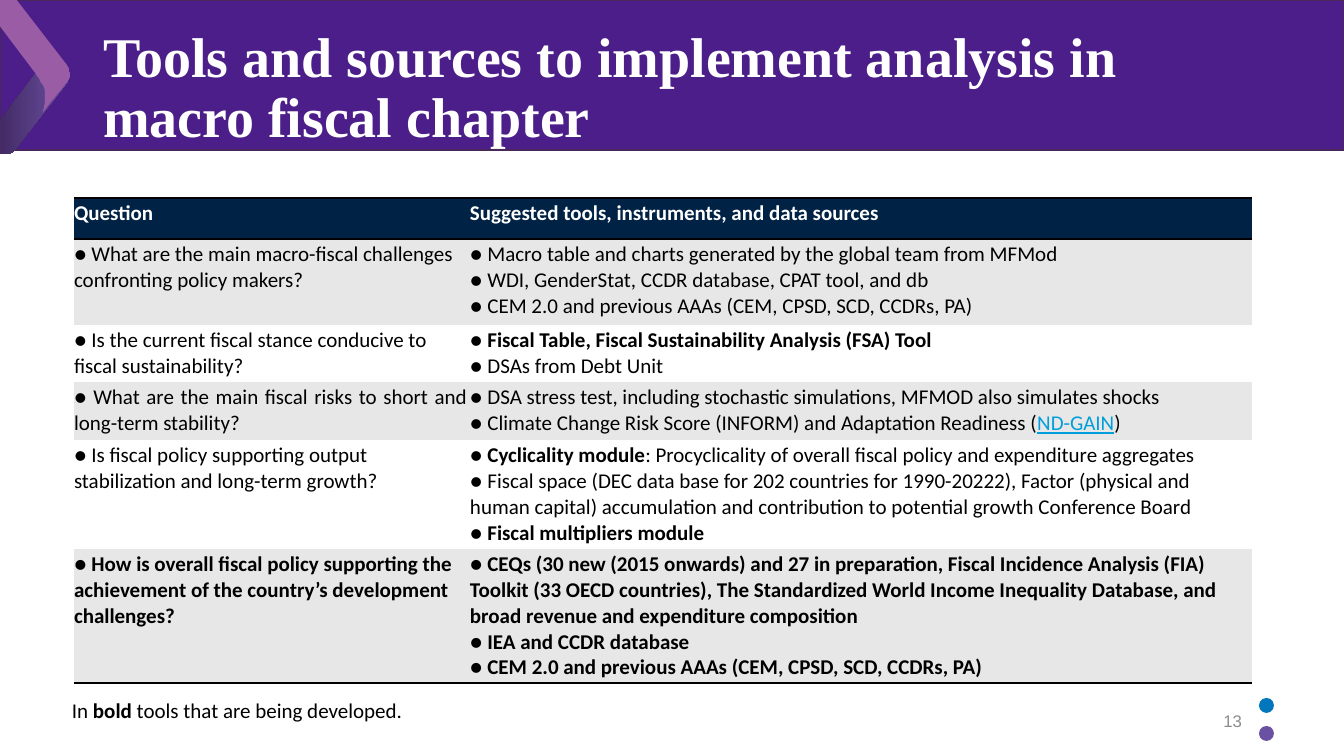
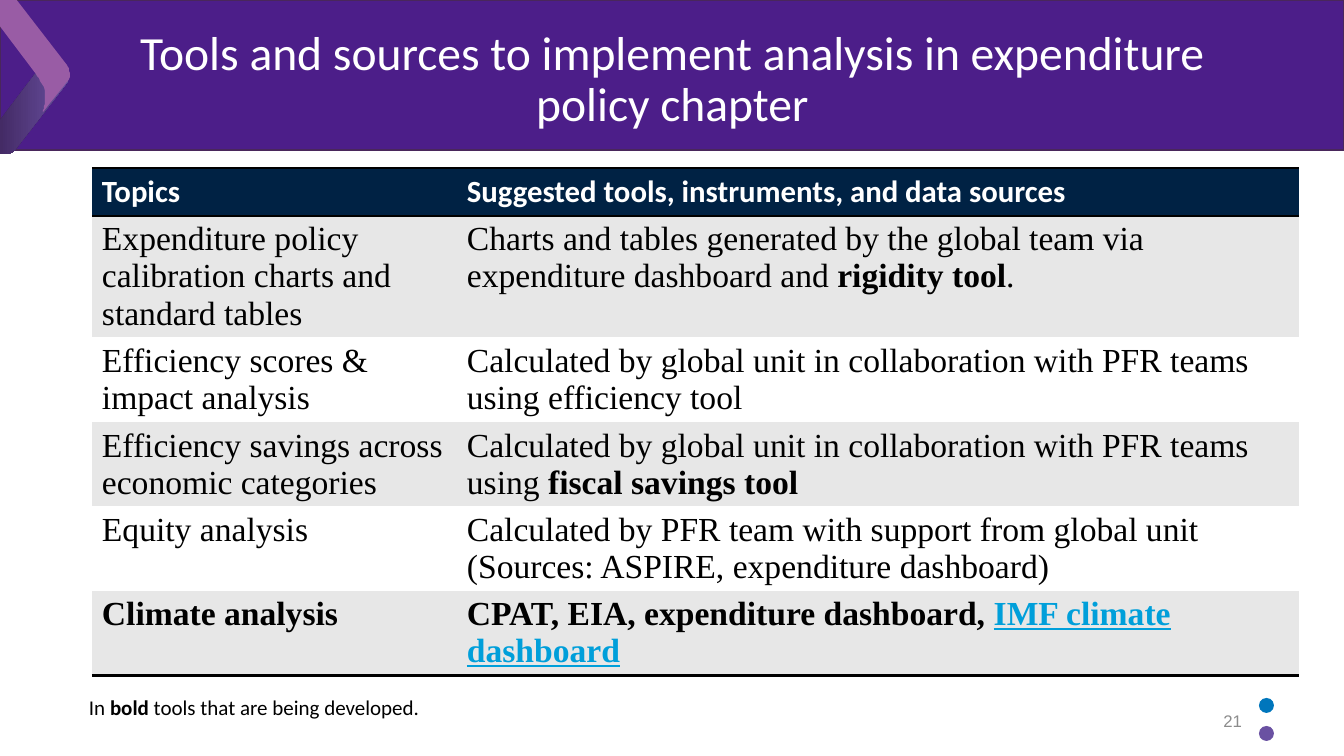
from lxml.etree import SubElement
from pptx import Presentation
from pptx.dml.color import RGBColor
from pptx.enum.shapes import MSO_SHAPE
from pptx.enum.text import MSO_ANCHOR, PP_ALIGN
from pptx.oxml.ns import qn
from pptx.util import Emu, Pt

SCALE = 12192000 / 1344
WIDTH, HEIGHT = 1344, 756
SANS, SERIF = "Calibri", "Times New Roman"
WHITE, BLACK, NAVY, GREY = "FFFFFF", "000000", "002244", "E7E7E7"
BAND, BAND_EDGE, PINK = "4C1E89", "49275B", "995CA5"
DARK_VIOLET, VIOLET, BLUE = "3D245B", "6A51A2", "0076BC"
BOLD = {"bold": True}
LINK = {"color": "009FDA", "underline": True}
PLAIN_TABLE = "{2D5ABB26-0587-4C30-8999-92F81FD0307C}"
HEADER_RIGHT = "Suggested tools, instruments, and data sources"

LOWER_ARM = [
    [(15, 150)],
    [(67, 83), (71, 78), (70, 70), (64, 66)],
    [(60, 62), (55, 58), (47, 59), (42, 65)],
    [(-9, 132), (-13, 137), (-12, 145), (-6, 150)],
    [(-3, 152), (3, 156), (11, 155), (15, 150)],
]
UPPER_ARM = [
    [(36, 74)],
    [(-7, 17), (-12, 10), (-11, 1), (-5, -4)],
    [(-5, -4), (2, -9), (11, -7), (16, -1)],
    [(67, 65), (70, 69), (71, 76), (68, 81)],
    [(68, 81), (66, 83), (43, 112), (43, 112)],
    [(43, 112), (43, 112), (46, 103), (45, 94)],
    [(45, 94), (45, 85), (36, 74), (36, 74)],
]

FISCAL_ROWS = [
    ([["What are the main macro-fiscal challenges confronting policy makers?"]],
     [["Macro table and charts generated by the global team from MFMod"],
      ["WDI, GenderStat, CCDR database, CPAT tool, and db"],
      ["CEM 2.0 and previous AAAs (CEM, CPSD, SCD, CCDRs, PA)"]]),
    ([["Is the current fiscal stance conducive to fiscal sustainability?"]],
     [[("Fiscal Table, Fiscal Sustainability Analysis (FSA) Tool", BOLD)],
      ["DSAs from Debt Unit"]]),
    ([["What are the main fiscal risks to short and long-term stability?"]],
     [["DSA stress test, including stochastic simulations, MFMOD also simulates shocks"],
      ["Climate Change Risk Score (INFORM) and Adaptation Readiness (",
       ("ND-GAIN", LINK), ")"]]),
    ([["Is fiscal policy supporting output stabilization and long-term growth?"]],
     [[("Cyclicality module", BOLD),
       ": Procyclicality of overall fiscal policy and expenditure aggregates"],
      ["Fiscal space (DEC data base for 202 countries for 1990-20222), Factor (physical "
       "and human capital) accumulation and contribution to potential growth "
       "Conference Board"],
      [("Fiscal multipliers module", BOLD)]]),
    ([["How is overall fiscal policy supporting the achievement of the country’s "
       "development challenges?"]],
     [["CEQs (30 new (2015 onwards) and 27 in preparation, Fiscal Incidence Analysis "
       "(FIA) Toolkit (33 OECD countries), The Standardized World Income Inequality "
       "Database, and broad revenue and expenditure composition"],
      ["IEA and CCDR database"],
      ["CEM 2.0 and previous AAAs (CEM, CPSD, SCD, CCDRs, PA)"]]),
]
EXPENDITURE_ROWS = [
    ([["Expenditure policy calibration charts and standard tables"]],
     [["Charts and tables generated by the global team via expenditure dashboard and ",
       ("rigidity tool", BOLD), "."]]),
    ([["Efficiency scores & impact analysis"]],
     [["Calculated by global unit in collaboration with PFR teams using efficiency tool"]]),
    ([["Efficiency savings across economic categories"]],
     [["Calculated by global unit in collaboration with PFR teams using ",
       ("fiscal savings tool", BOLD)]]),
    ([["Equity analysis"]],
     [["Calculated by PFR team with support from global unit "
       "(Sources: ASPIRE, expenditure dashboard)"]]),
    ([["Climate analysis"]],
     [["CPAT, EIA, expenditure dashboard, ", ("IMF climate dashboard", LINK)]]),
]


def px(length):
    """Turn px into EMU."""
    return Emu(round(length * SCALE))


def rgb(value):
    """Turn a hex string into a colour."""
    return RGBColor.from_string(value)


def add_span(para, text, size=15, font=SANS, color=BLACK, bold=False, underline=False):
    """Add formatted text to a paragraph."""
    span = para.add_run()
    span.text = text
    span.font.size = Pt(size)
    span.font.name = font
    span.font.color.rgb = rgb(color)
    span.font.bold = bold
    span.font.underline = underline


def write(frame, paragraphs, bullet="", spacing=None, **style):
    """Fill a text frame with paragraphs of plain or specially formatted spans."""
    for index, spans in enumerate(paragraphs):
        para = frame.add_paragraph() if index else frame.paragraphs[0]
        para.line_spacing = spacing
        if bullet:
            add_span(para, bullet, **style)
        for span in spans:
            text, special = (span, {}) if isinstance(span, str) else span
            add_span(para, text, **{**style, **special})


def rule(cell, *sides):
    """Draw black lines on the named sides of a cell."""
    for side in sides:
        line = SubElement(cell._tc.get_or_add_tcPr(), qn(f"a:ln{side}"), w=str(Pt(2)))
        fill = SubElement(line, qn("a:solidFill"))
        SubElement(fill, qn("a:srgbClr"), val=BLACK)


def curve(start, first, second, end, steps=8):
    """Return points along a cubic curve."""
    points = []
    for step in range(1, steps + 1):
        t = step / steps
        weights = ((1 - t) ** 3, 3 * t * (1 - t) ** 2, 3 * t * t * (1 - t), t ** 3)
        corners = (start, first, second, end)
        points.append(tuple(sum(w * corner[axis] for w, corner in zip(weights, corners))
                            for axis in (0, 1)))
    return points


class Deck:
    """Hold the shared style and the current slide."""

    def __init__(self):
        """Start an empty wide deck."""
        self.deck = Presentation()
        self.deck.slide_width, self.deck.slide_height = px(WIDTH), px(HEIGHT)

    def page(self, title, number, align, **style):
        """Add a slide with its band, chevron, dots, title and number."""
        self.slide = self.deck.slides.add_slide(self.deck.slide_layouts[5])
        self.shape(MSO_SHAPE.RECTANGLE, 0, 0, WIDTH, 150, BAND, BAND_EDGE)
        fill = self.outline(LOWER_ARM).fill
        fill.gradient()
        fill.gradient_angle = 0
        for stop, color in zip(fill.gradient_stops, (DARK_VIOLET, VIOLET)):
            stop.color.rgb = rgb(color)
        fill = self.outline(UPPER_ARM).fill
        fill.solid()
        fill.fore_color.rgb = rgb(PINK)
        for top, color in ((698, BLUE), (726, VIOLET)):
            self.shape(MSO_SHAPE.OVAL, 1259, top, 15, 15, color)
        self.title(title, align, **style)
        frame = self.text(950, 701, 302, 40, [[number]], size=12, font="Arial", color="8C8C8C")
        frame.vertical_anchor = MSO_ANCHOR.MIDDLE
        frame.paragraphs[0].alignment = PP_ALIGN.RIGHT

    def title(self, text, align, **style):
        """Place the title placeholder in front of the band."""
        box = self.slide.shapes.title
        box.element.getparent().append(box.element)
        box.left, box.top, box.width, box.height = map(px, (93, 24, 1159, 126))
        box.text_frame.word_wrap = True
        box.text_frame.vertical_anchor = MSO_ANCHOR.TOP
        write(box.text_frame, [[text]], spacing=0.9, color=WHITE, **style)
        box.text_frame.paragraphs[0].alignment = align

    def shape(self, kind, left, top, width, height, color, edge=None):
        """Add a filled preset shape."""
        shape = self.slide.shapes.add_shape(kind, *map(px, (left, top, width, height)))
        shape.shadow.inherit = False
        shape.fill.solid()
        shape.fill.fore_color.rgb = rgb(color)
        if edge:
            shape.line.color.rgb = rgb(edge)
            shape.line.width = Pt(1)
        else:
            shape.line.fill.background()

    def outline(self, segments):
        """Add a closed shape whose segments are a line followed by a curve."""
        (start,), *bends = segments
        builder = self.slide.shapes.build_freeform(*start, scale=SCALE)
        for bend in bends:
            builder.add_line_segments([bend[0], *curve(*bend)], close=False)
        builder.add_line_segments([start], close=True)
        shape = builder.convert_to_shape()
        shape.shadow.inherit = False
        shape.line.fill.background()
        return shape

    def text(self, left, top, width, height, paragraphs, **style):
        """Add a wrapping text box."""
        box = self.slide.shapes.add_textbox(*map(px, (left, top, width, height)))
        box.text_frame.word_wrap = True
        write(box.text_frame, paragraphs, **style)
        return box.text_frame

    def table(self, left, top, columns, heights, heading, rows, margins, head_size, **style):
        """Add a banded table with a dark header and a bold last row."""
        frame = self.slide.shapes.add_table(
            len(heights), len(columns),
            *map(px, (left, top, sum(columns), sum(heights))))
        table = frame.table
        table.first_row = table.horz_banding = False
        for style_id in frame.element.iter(qn("a:tableStyleId")):
            style_id.text = PLAIN_TABLE
        for column, width in zip(table.columns, columns):
            column.width = px(width)
        for row, height in zip(table.rows, heights):
            row.height = px(height)
        header = ([[heading]], [[HEADER_RIGHT]])
        last = len(rows)
        for index, contents in enumerate([header, *rows]):
            for cell, paragraphs in zip(table.rows[index].cells, contents):
                (cell.margin_left, cell.margin_top,
                 cell.margin_right, cell.margin_bottom) = map(px, margins)
                if index == 0:
                    rule(cell, "T", "B")
                    write(cell.text_frame, paragraphs, size=head_size, color=WHITE, bold=True)
                else:
                    if index == last:
                        rule(cell, "B")
                    write(cell.text_frame, paragraphs, bold=index == last, **style)
                cell.fill.solid()
                cell.fill.fore_color.rgb = rgb(
                    NAVY if index == 0 else GREY if index % 2 else WHITE)
        return table

    def footnote(self, left, top):
        """Add the note that explains bold text."""
        self.text(left, top, 463, 35,
                  [["In ", ("bold ", BOLD), "tools that are being developed."]])


def main():
    """Build and save both slides."""
    deck = Deck()
    deck.page("Tools and sources to implement analysis in macro fiscal chapter", "13",
              PP_ALIGN.LEFT, size=40, font=SERIF, bold=True)
    table = deck.table(74, 198, (396, 782), (41, 86, 57, 58, 109, 134), "Question",
                       FISCAL_ROWS, (0, 3, 3, 3), 15, bullet="● ")
    table.cell(3, 0).text_frame.paragraphs[0].alignment = PP_ALIGN.JUSTIFY
    deck.footnote(62, 693)

    deck.page("Tools and sources to implement analysis in expenditure policy chapter", "21",
              PP_ALIGN.CENTER, size=34)
    deck.table(92, 168, (365, 842), (48, 121, 85, 84, 84, 85), "Topics", EXPENDITURE_ROWS,
               (10, 5, 10, 5), 22, size=24, font=SERIF, spacing=Pt(26.5))
    deck.footnote(79, 690)
    deck.deck.save("out.pptx")


if __name__ == "__main__":
    main()
